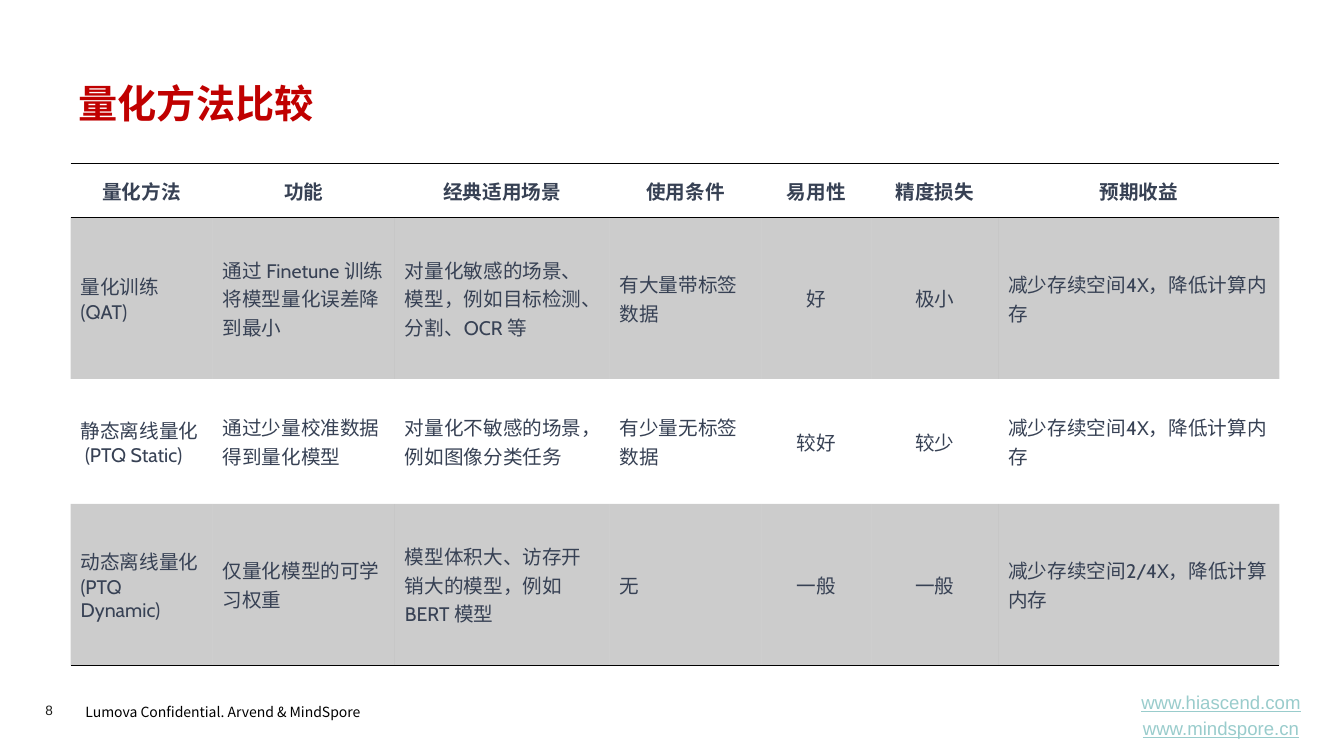
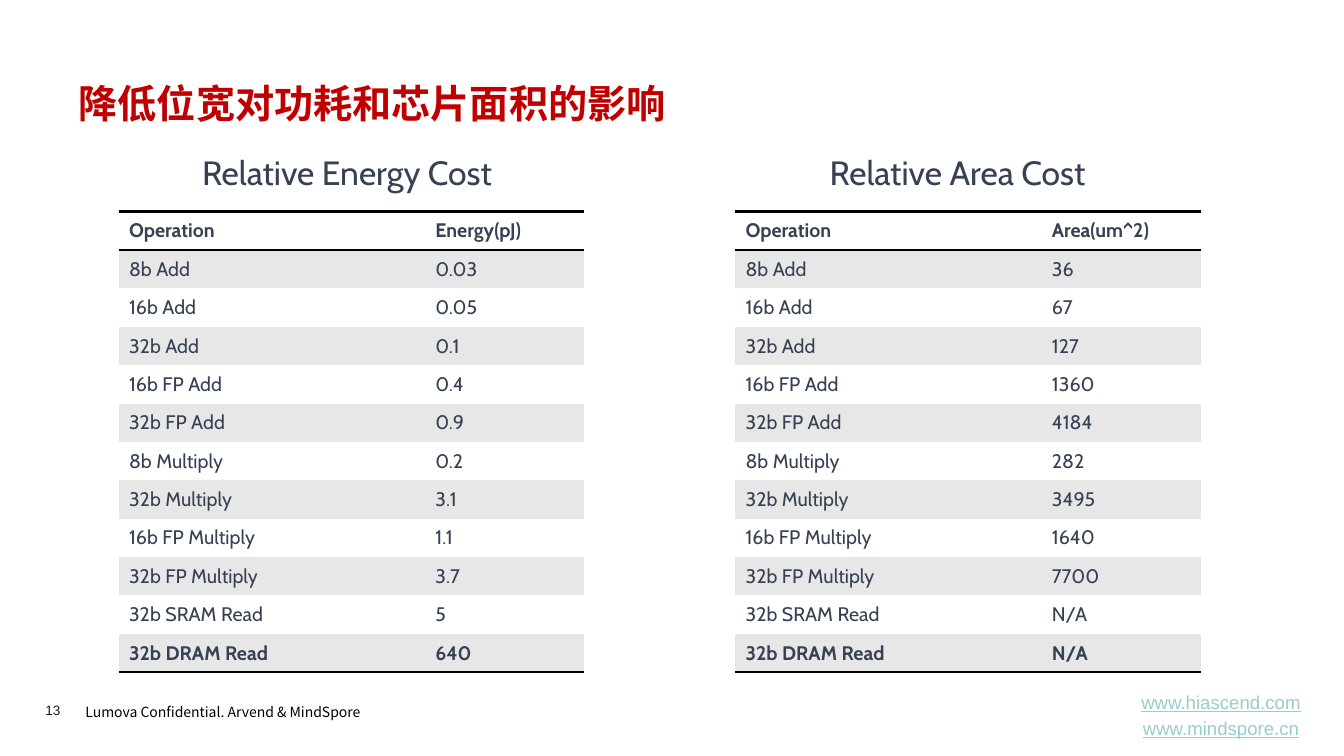
from dataclasses import dataclass

from lxml.etree import SubElement
from pptx import Presentation
from pptx.dml.color import RGBColor
from pptx.enum.lang import MSO_LANGUAGE_ID
from pptx.enum.text import MSO_ANCHOR, MSO_AUTO_SIZE, PP_ALIGN
from pptx.oxml import parse_xml
from pptx.oxml.ns import nsdecls, qn
from pptx.util import Pt


@dataclass(frozen=True)
class Theme:
    title_color: str = "C00000"
    text_color: str = "374154"
    footer_color: str = "000000"
    number_color: str = "1D1D1B"
    link_color: str = "99CCCC"
    rule_color: str = "000000"
    shade_color: str = "000000"
    stripe_color: str = "E7E7E7"
    white: str = "FFFFFF"
    title_font: str = "Quicksand"
    text_font: str = "Cabin"
    asian_font: str = "Noto Sans CJK SC"
    plain_font: str = "Arial"
    title_size: float = 28
    heading_size: float = 24
    table_size: float = 14
    link_size: float = 13.3
    footer_size: float = 10
    number_size: float = 9.7


@dataclass(frozen=True)
class Box:
    left: float
    top: float
    width: float
    height: float

    def lengths(self):
        return [Pt(value) for value in (self.left, self.top, self.width, self.height)]


THEME = Theme()
PLAIN_TABLE = "{2D5ABB26-0587-4C30-8999-92F81FD0307C}"

METHOD_COLUMNS = [101.5, 130.3, 153.4, 108.7, 78.5, 90.7, 200.9]
METHOD_ROW_HEIGHTS = [38.9, 115.2, 89.3, 115.2]
CENTERED_COLUMNS = (4, 5)
METHODS = [
    ["量化方法", "功能", "经典适用场景", "使用条件", "易用性", "精度损失", "预期收益"],
    ["量化训练 (QAT)", "通过 Finetune 训练将模型量化误差降到最小",
     "对量化敏感的场景、模型，例如目标检测、分割、OCR 等", "有大量带标签数据",
     "好", "极小", "减少存续空间4X，降低计算内存"],
    ["静态离线量化\n (PTQ Static)", "通过少量校准数据得到量化模型",
     "对量化不敏感的场景，例如图像分类任务", "有少量无标签数据",
     "较好", "较少", "减少存续空间4X，降低计算内存"],
    ["动态离线量化\n(PTQ Dynamic)", "仅量化模型的可学习权重",
     "模型体积大、访存开销大的模型，例如 BERT 模型", "无",
     "一般", "一般", "减少存续空间2/4X，降低计算内存"],
]

COST_COLUMNS = [218.9, 113.8]
COST_ROW_HEIGHT = 27.42
# Operation, energy, area
COSTS = [
    ("Operation", "Energy(pJ)", "Area(um^2)"),
    ("8b Add", "0.03", "36"),
    ("16b Add", "0.05", "67"),
    ("32b Add", "0.1", "127"),
    ("16b FP Add", "0.4", "1360"),
    ("32b FP Add", "0.9", "4184"),
    ("8b Multiply", "0.2", "282"),
    ("32b Multiply", "3.1", "3495"),
    ("16b FP Multiply", "1.1", "1640"),
    ("32b FP Multiply", "3.7", "7700"),
    ("32b SRAM Read", "5", "N/A"),
    ("32b DRAM Read", "640", "N/A"),
]


def write(frame, text, *, size, color=THEME.text_color, font=THEME.text_font,
          bold=False, underline=False, align=PP_ALIGN.LEFT, line_spacing=None, gap=0):
    """Fill a text frame, one paragraph for each line of text."""
    frame.word_wrap = True
    for index, line in enumerate(text.split("\n")):
        para = frame.add_paragraph() if index else frame.paragraphs[0]
        para.alignment = align
        if line_spacing:
            para.line_spacing = line_spacing
        if index and gap:
            para.space_before = Pt(gap)
        span = para.add_run()
        span.text = line
        span.font.size = Pt(size)
        span.font.bold = bold
        span.font.underline = underline
        span.font.color.rgb = RGBColor.from_string(color)
        span.font.name = font
        span.font.language_id = MSO_LANGUAGE_ID.SIMPLIFIED_CHINESE
        latin = span.font._element.find(qn("a:latin"))
        latin.addnext(parse_xml(f'<a:ea {nsdecls("a")} typeface="{THEME.asian_font}"/>'))


def add_text(page, box, text, *, anchor=MSO_ANCHOR.TOP, inset=None, **style):
    frame = page.shapes.add_textbox(*box.lengths()).text_frame
    frame.auto_size = MSO_AUTO_SIZE.NONE
    frame.vertical_anchor = anchor
    if inset is not None:
        frame.margin_left = frame.margin_right = Pt(inset)
        frame.margin_top = frame.margin_bottom = Pt(inset)
    write(frame, text, **style)


def add_page(deck, title, number):
    """Title-only page with the shared title style and footer."""
    page = deck.slides.add_slide(deck.slide_layouts[5])
    holder = page.shapes.title
    holder.left, holder.top, holder.width, holder.height = Box(49, 53.3, 863.3, 46).lengths()
    holder.text_frame.auto_size = MSO_AUTO_SIZE.NONE
    holder.text_frame.vertical_anchor = MSO_ANCHOR.TOP
    write(holder.text_frame, title, size=THEME.title_size, color=THEME.title_color,
          font=THEME.title_font, bold=True)
    add_footer(page, Box(32.4, 495.4, 918, 31), number)
    return page


def add_footer(page, box, number):
    add_text(page, Box(box.left + 21.6, box.top + 1.4, 225.4, 20.9),
             "Lumova Confidential. Arvend & MindSpore", size=THEME.footer_size,
             color=THEME.footer_color, font=THEME.asian_font, line_spacing=1.2)
    add_text(page, Box(box.left, box.top + 5.7, 39.6, 11.5), str(number), inset=0,
             size=THEME.number_size, color=THEME.number_color, font=THEME.plain_font)
    link_width = 155.5
    add_text(page, Box(box.left + box.width - link_width, box.top, link_width, box.height),
             "www.hiascend.com\nwww.mindspore.cn", anchor=MSO_ANCHOR.MIDDLE,
             size=THEME.link_size, color=THEME.link_color, font=THEME.plain_font,
             underline=True, align=PP_ALIGN.CENTER, gap=2.7)


def add_plain_table(page, box, columns, heights):
    """Table without any style of its own."""
    table = page.shapes.add_table(len(heights), len(columns), *box.lengths()).table
    table.first_row = table.horz_banding = False
    table._tbl.tblPr.find(qn("a:tableStyleId")).text = PLAIN_TABLE
    for column, width in zip(table.columns, columns):
        column.width = Pt(width)
    for row, height in zip(table.rows, heights):
        row.height = Pt(height)
    return table


def fill_cell(cell, color=None, opacity=100):
    if color is None:
        cell.fill.background()
        return
    cell.fill.solid()
    cell.fill.fore_color.rgb = RGBColor.from_string(color)
    if opacity < 100:
        tint = cell._tc.tcPr.find(".//" + qn("a:srgbClr"))
        SubElement(tint, qn("a:alpha"), val=str(opacity * 1000))


def rule_table(table, weight):
    """Rules above and below the header, and below the last row."""
    last = len(table.rows) - 1
    sides = {0: ("lnT", "lnB"), last: ("lnB",)}
    for row, names in sides.items():
        for cell in table.rows[row].cells:
            for position, name in enumerate(names):
                cell._tc.get_or_add_tcPr().insert(position, parse_xml(
                    f'<a:{name} {nsdecls("a")} w="{Pt(weight)}"><a:solidFill>'
                    f'<a:srgbClr val="{THEME.rule_color}"/></a:solidFill></a:{name}>'))


def add_method_table(page, box):
    table = add_plain_table(page, box, METHOD_COLUMNS, METHOD_ROW_HEIGHTS)
    for row, texts in enumerate(METHODS):
        for column, text in enumerate(texts):
            cell = table.cell(row, column)
            cell.vertical_anchor = MSO_ANCHOR.MIDDLE
            cell.margin_top = cell.margin_bottom = Pt(4.3)
            centered = row == 0 or column in CENTERED_COLUMNS
            write(cell.text_frame, text, size=THEME.table_size, bold=row == 0,
                  align=PP_ALIGN.CENTER if centered else PP_ALIGN.LEFT)
            fill_cell(cell, THEME.shade_color if row % 2 else None, opacity=20)
    rule_table(table, 1)


def add_cost_panel(page, box, heading, value_index, heading_left):
    """Heading above a table of operations and one measure."""
    add_text(page, Box(box.left + heading_left, box.top, 238.3, 46), heading,
             anchor=MSO_ANCHOR.MIDDLE, size=THEME.heading_size, align=PP_ALIGN.CENTER)
    table_top = 51.1
    table = add_plain_table(
        page, Box(box.left, box.top + table_top, box.width, box.height - table_top),
        COST_COLUMNS, [COST_ROW_HEIGHT] * len(COSTS))
    for row, record in enumerate(COSTS):
        for column, text in enumerate((record[0], record[value_index])):
            cell = table.cell(row, column)
            cell.vertical_anchor = MSO_ANCHOR.MIDDLE
            write(cell.text_frame, text, size=THEME.table_size,
                  bold=row in (0, len(COSTS) - 1))
            fill_cell(cell, THEME.stripe_color if row % 2 else THEME.white)
    rule_table(table, 2)


def build_method_page(deck):
    page = add_page(deck, "量化方法比较", 8)
    add_method_table(page, Box(50.4, 116.6, sum(METHOD_COLUMNS), sum(METHOD_ROW_HEIGHTS)))


def build_cost_page(deck):
    page = add_page(deck, "降低位宽对功耗和芯片面积的影响", 13)
    width, height = sum(COST_COLUMNS), 51.1 + COST_ROW_HEIGHT * len(COSTS)
    add_cost_panel(page, Box(85, 100.1, width, height), "Relative Energy Cost", 1, 43.9)
    add_cost_panel(page, Box(525.6, 100.1, width, height), "Relative Area Cost", 2, 39.6)


def main():
    deck = Presentation()
    deck.slide_width, deck.slide_height = Pt(960.48), Pt(540)
    build_method_page(deck)
    build_cost_page(deck)
    deck.save("out.pptx")


if __name__ == "__main__":
    main()
